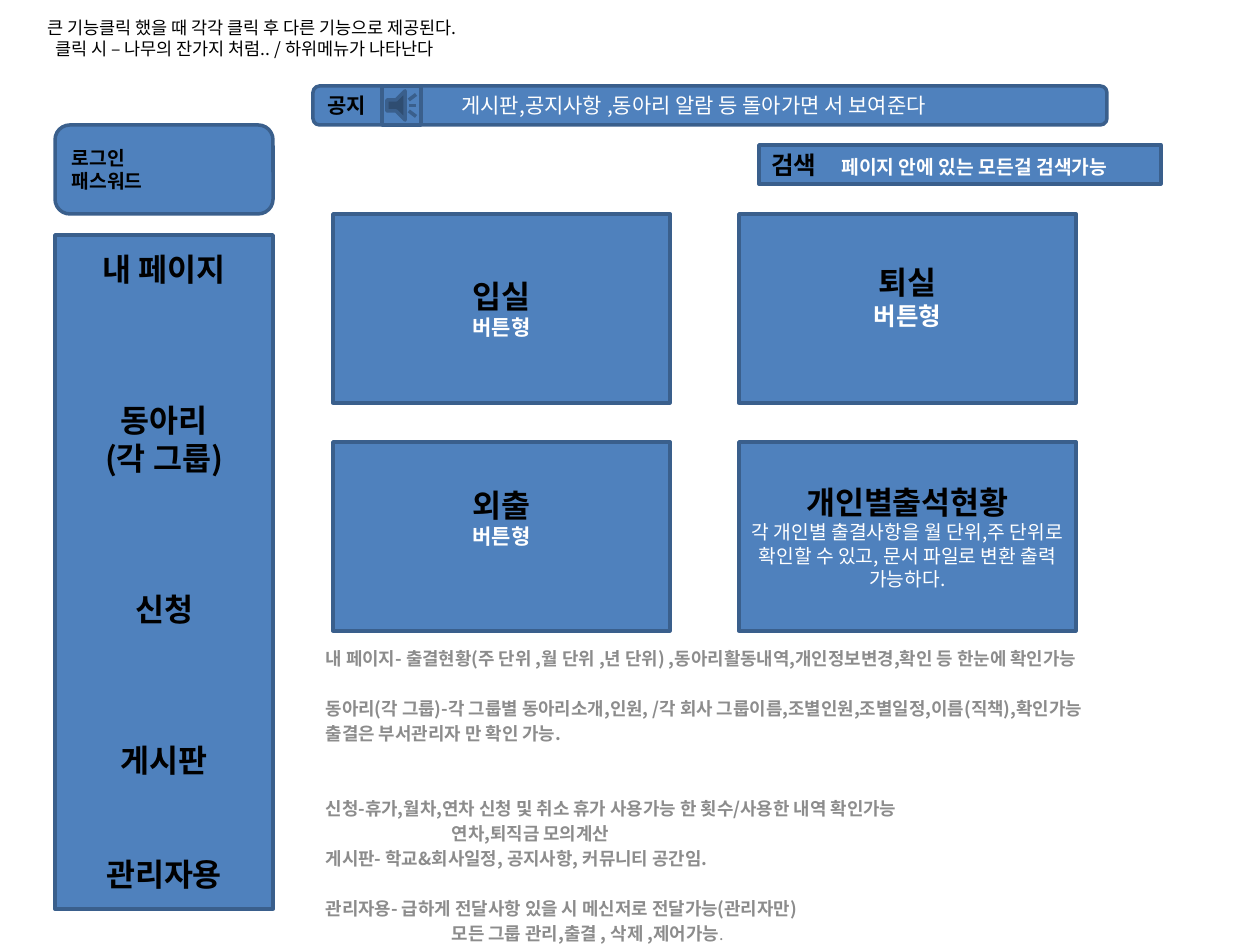
from dataclasses import dataclass
from typing import Any

from lxml import etree
from pptx import Presentation
from pptx.dml.color import RGBColor
from pptx.enum.shapes import MSO_SHAPE
from pptx.enum.text import MSO_ANCHOR, MSO_AUTO_SIZE, PP_ALIGN
from pptx.oxml.ns import qn
from pptx.util import Emu, Inches, Pt

RECTANGLE = MSO_SHAPE.RECTANGLE
ROUNDED = MSO_SHAPE.ROUNDED_RECTANGLE
SOUND = MSO_SHAPE.ACTION_BUTTON_SOUND
TOP, MIDDLE = MSO_ANCHOR.TOP, MSO_ANCHOR.MIDDLE
LEFT, CENTER = PP_ALIGN.LEFT, PP_ALIGN.CENTER
NO_AUTOFIT = MSO_AUTO_SIZE.NONE


@dataclass(frozen=True)
class Theme:
    font: str = "Noto Sans CJK KR"
    fill: str = "4F81BD"
    border: str = "3A5F8C"
    dark: str = "000000"
    light: str = "FFFFFF"
    muted: str = "8C8C8C"
    heading: float = 18
    large: float = 14
    medium: float = 12
    small: float = 11
    note: float = 10.2
    title: float = 10
    period: float = 9.2
    leading: float = 1.2


THEME = Theme()


@dataclass(frozen=True)
class Box:
    left: int
    top: int
    width: int
    height: int


@dataclass(frozen=True)
class Span:
    text: str
    size: float
    color: str = THEME.dark
    bold: bool = True


@dataclass(frozen=True)
class Line:
    spans: tuple[Span, ...]
    before: float = 0
    indent: int = 0
    tab: int = 0


@dataclass(frozen=True)
class Button:
    column: int
    row: int
    title: str
    detail: Span
    lift: int = 0


@dataclass(frozen=True)
class Entry:
    text: str
    skipped: int = 0
    indent: int = 0


MENU = (Entry("내 페이지"), Entry("동아리", 3), Entry("(각 그룹)"),
        Entry("신청", 3), Entry("게시판", 3), Entry("관리자용", 2))

NOTES = (
    Entry("내 페이지- 출결현황(주 단위 ,월 단위 ,년 단위) ,동아리활동내역,개인정보변경,확인 등 한눈에 확인가능"),
    Entry("동아리(각 그룹)-각 그룹별 동아리소개,인원, /각 회사 그룹이름,조별인원,조별일정,이름(직책),확인가능", 1),
    Entry("출결은 부서관리자 만 확인 가능."),
    Entry("신청-휴가,월차,연차 신청 및 취소 휴가 사용가능 한 횟수/사용한 내역 확인가능", 2),
    Entry("연차,퇴직금 모의계산", indent=126),
    Entry("게시판- 학교&회사일정, 공지사항, 커뮤니티 공간임."),
    Entry("관리자용- 급하게 전달사항 있을 시 메신저로 전달가능(관리자만)", 1),
    Entry("모든 그룹 관리,출결 , 삭제 ,제어가능", indent=126),
)

BUTTONS = (
    Button(0, 0, "입실", Span("버튼형", THEME.medium, THEME.light)),
    Button(1, 0, "퇴실", Span("버튼형", THEME.large, THEME.light), 23),
    Button(0, 1, "외출", Span("버튼형", THEME.medium, THEME.light), 38),
    Button(1, 1, "개인별출석현황", Span(
        "각 개인별 출결사항을 월 단위,주 단위로 확인할 수 있고, 문서 파일로 변환 출력 가능하다.",
        THEME.small, THEME.light, False)),
)


def px(value: int) -> Emu:
    return Emu(round(value * 914400 / 126))


def place(shape: Any, box: Box) -> None:
    shape.left, shape.top = px(box.left), px(box.top)
    shape.width, shape.height = px(box.width), px(box.height)


def write(shape: Any, lines: list[Line], align: Any = LEFT, anchor: Any = MIDDLE,
          inset_top: int = 6, inset_bottom: int = 6) -> None:
    frame = shape.text_frame
    frame.word_wrap = True
    frame.auto_size = NO_AUTOFIT
    frame.vertical_anchor = anchor
    frame.margin_top, frame.margin_bottom = px(inset_top), px(inset_bottom)
    for index, line in enumerate(lines):
        paragraph = frame.add_paragraph() if index else frame.paragraphs[0]
        paragraph.alignment = align
        paragraph.line_spacing = Pt(THEME.leading * max(span.size for span in line.spans))
        paragraph.space_before = Pt(line.before)
        properties = paragraph._p.get_or_add_pPr()
        if line.indent:
            properties.set("marL", str(px(line.indent)))
        if line.tab:
            tabs = etree.SubElement(properties, qn("a:tabLst"))
            etree.SubElement(tabs, qn("a:tab"), pos=str(px(line.tab)), algn="l")
        for span in line.spans:
            run = paragraph.add_run()
            run.text = span.text
            run.font.size = Pt(span.size)
            run.font.bold = span.bold
            run.font.color.rgb = RGBColor.from_string(span.color)
            run.font.name = THEME.font
            etree.SubElement(run.font._element, qn("a:ea"), typeface=THEME.font)


def add_panel(slide: Any, kind: Any, box: Box) -> Any:
    shape = slide.shapes.add_shape(kind, 0, 0, 0, 0)
    place(shape, box)
    shape.shadow.inherit = False
    shape.fill.solid()
    shape.fill.fore_color.rgb = RGBColor.from_string(THEME.fill)
    shape.line.color.rgb = RGBColor.from_string(THEME.border)
    shape.line.width = Pt(2)
    return shape


def add_button(slide: Any, button: Button) -> None:
    box = Box(333 + 406 * button.column, 214 + 228 * button.row, 337, 189)
    heading = Line((Span(button.title, THEME.heading),))
    write(add_panel(slide, RECTANGLE, box), [heading, Line((button.detail,))],
          CENTER, inset_bottom=6 + button.lift)


def note_lines() -> list[Line]:
    gap = 0.2 * THEME.note
    pitch = THEME.leading * THEME.note + gap
    lines = []
    for index, entry in enumerate(NOTES):
        spans = (Span(entry.text, THEME.note, THEME.muted),)
        if entry is NOTES[-1]:
            spans += (Span(".", THEME.period, THEME.muted, False),)
        lines.append(Line(spans, (gap if index else 0) + entry.skipped * pitch, entry.indent))
    return lines


def main() -> None:
    presentation = Presentation()
    presentation.slide_width, presentation.slide_height = Inches(10), Inches(7.5)
    slide = presentation.slides.add_slide(presentation.slide_layouts[0])

    title, notes = slide.shapes.title, slide.placeholders[1]
    place(title, Box(35, 0, 1201, 76))
    write(title, [
        Line((Span("큰 기능클릭 했을 때 각각 클릭 후 다른 기능으로 제공된다.", THEME.title, bold=False),)),
        Line((Span("클릭 시 – 나무의 잔가지 처럼.. / 하위메뉴가 나타난다", THEME.title, bold=False),), indent=8),
    ])
    place(notes, Box(313, 642, 947, 303))
    write(notes, note_lines(), anchor=TOP)

    notice = add_panel(slide, ROUNDED, Box(313, 86, 794, 39))
    write(notice, [Line((
        Span("공지\t", THEME.medium),
        Span("게시판,공지사항 ,동아리 알람 등 돌아가면 서 보여준다", THEME.medium, THEME.light, False),
    ), tab=134)])

    menu = add_panel(slide, RECTANGLE, Box(55, 235, 218, 674))
    row_height = THEME.leading * THEME.heading
    write(menu, [Line((Span(entry.text, THEME.heading),), entry.skipped * row_height)
                 for entry in MENU], CENTER, TOP, inset_top=15)

    for button in BUTTONS:
        add_button(slide, button)

    login = add_panel(slide, ROUNDED, Box(55, 125, 218, 89))
    write(login, [Line((Span(text, THEME.small),)) for text in ("로그인", "패스워드")])

    search = add_panel(slide, RECTANGLE, Box(759, 145, 402, 39))
    write(search, [Line((
        Span("검색\t", THEME.large),
        Span("페이지 안에 있는 모든걸 검색가능", THEME.small, THEME.light),
    ), tab=70)])

    add_panel(slide, SOUND, Box(382, 86, 39, 39))
    presentation.save("out.pptx")


if __name__ == "__main__":
    main()
